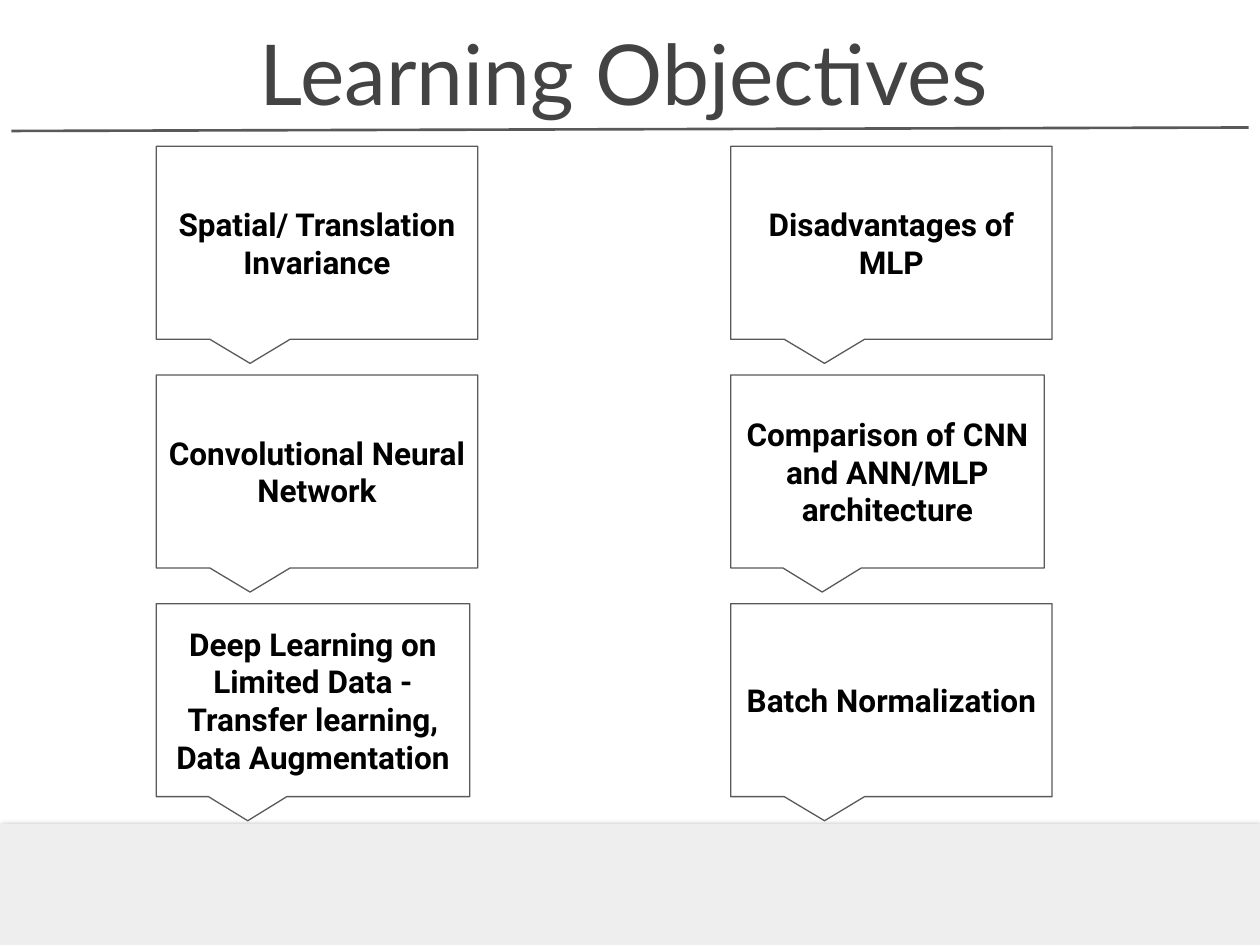
from collections import namedtuple

from lxml.etree import SubElement
from pptx import Presentation
from pptx.dml.color import RGBColor
from pptx.enum.shapes import MSO_CONNECTOR as Connector
from pptx.enum.shapes import MSO_SHAPE as Shape
from pptx.enum.text import MSO_ANCHOR as Anchor
from pptx.enum.text import MSO_AUTO_SIZE as AutoSize
from pptx.enum.text import PP_ALIGN as Align
from pptx.oxml import parse_xml
from pptx.oxml.ns import nsdecls, qn
from pptx.util import Cm, Pt

Box = namedtuple("Box", "left top width height")

COLOURS = {"title": "434343", "line": "595959", "text": "000000", "band": "EEEEEE"}
WIDE, NARROW = 6.48, 6.32
OBJECTIVES = [
    [("Spatial/ Translation Invariance", WIDE), ("Disadvantages of MLP", WIDE)],
    [
        ("Convolutional Neural Network", WIDE),
        ("Comparison of CNN and ANN/MLP architecture", NARROW),
    ],
    [
        ("Deep Learning on Limited Data - Transfer learning, Data Augmentation", NARROW),
        ("Batch Normalization", WIDE),
    ],
]


def colour(name):
    """Return the named palette colour."""
    return RGBColor.from_string(COLOURS[name])


def lengths(box):
    """Turn a box in centimetres into slide lengths."""
    return [Cm(value) for value in box]


def write(shape, text, *, font, size, ink, anchor, bold=False):
    """Write one centred paragraph into a shape."""
    frame = shape.text_frame
    frame.word_wrap = True
    frame.auto_size = AutoSize.NONE
    frame.vertical_anchor = anchor
    frame.margin_left = frame.margin_right = Cm(0.25)
    frame.margin_top = frame.margin_bottom = Cm(0.25)
    para = frame.paragraphs[0]
    para.alignment = Align.CENTER
    span = para.add_run()
    span.text = text
    span.font.name = font
    span.font.size = Pt(size)
    span.font.bold = bold
    span.font.color.rgb = colour(ink)


def add_heading(page, box):
    """Place the title and the rule below it."""
    title = page.shapes.title
    title.left, title.top, title.width, title.height = lengths(box)
    write(title, "Learning Objectives", font="Lato", size=48, ink="title", anchor=Anchor.BOTTOM)
    rule = page.shapes.add_connector(
        Connector.STRAIGHT, Cm(0.23), Cm(box.top + 2.16), Cm(25.17), Cm(box.top + 2.09)
    )
    rule.line.color.rgb = colour("line")
    rule.line.width = Pt(1.5)
    SubElement(rule._element.spPr, qn("a:effectLst"))


def add_band(page, box):
    """Place the grey footer band with its soft shadow."""
    band = page.shapes.add_shape(Shape.RECTANGLE, *lengths(box))
    band.fill.solid()
    band.fill.fore_color.rgb = colour("band")
    band.line.fill.background()
    shadow = (
        f'<a:effectLst {nsdecls("a")}>'
        f'<a:outerShdw blurRad="{Pt(4.5)}" dist="{Pt(1.5)}" dir="5400000" rotWithShape="0">'
        '<a:srgbClr val="000000"><a:alpha val="50000"/></a:srgbClr>'
        "</a:outerShdw></a:effectLst>"
    )
    band._element.spPr.append(parse_xml(shadow))


def add_callout(page, box, text):
    """Place one objective in a square-cornered callout."""
    callout = page.shapes.add_shape(Shape.ROUNDED_RECTANGULAR_CALLOUT, *lengths(box))
    for index, value in enumerate((-0.208, 0.625, 0)):
        callout.adjustments[index] = value
    callout.shadow.inherit = False
    callout.fill.background()
    callout.line.color.rgb = colour("line")
    callout.line.width = Pt(0.75)
    write(callout, text, font="Roboto", size=18, ink="text", anchor=Anchor.MIDDLE, bold=True)


def add_objectives(page, box):
    """Spread the callouts over the rows and columns of a box."""
    height = 3.89
    row_step = (box.height - height) / (len(OBJECTIVES) - 1)
    column_step = box.width - WIDE
    for row, pair in enumerate(OBJECTIVES):
        for column, (text, width) in enumerate(pair):
            left = box.left + column * column_step
            top = box.top + row * row_step
            add_callout(page, Box(left, top, width, height), text)


def main():
    """Build and save the deck."""
    deck = Presentation()
    deck.slide_width, deck.slide_height = Cm(25.4), Cm(19.05)
    page = deck.slides.add_slide(deck.slide_layouts[5])
    add_band(page, Box(0, 16.61, 25.4, 2.57))
    add_heading(page, Box(3.3, 0.48, 18.57, 2.24))
    add_objectives(page, Box(3.15, 2.95, 18.06, 13.11))
    deck.save("out.pptx")


if __name__ == "__main__":
    main()
